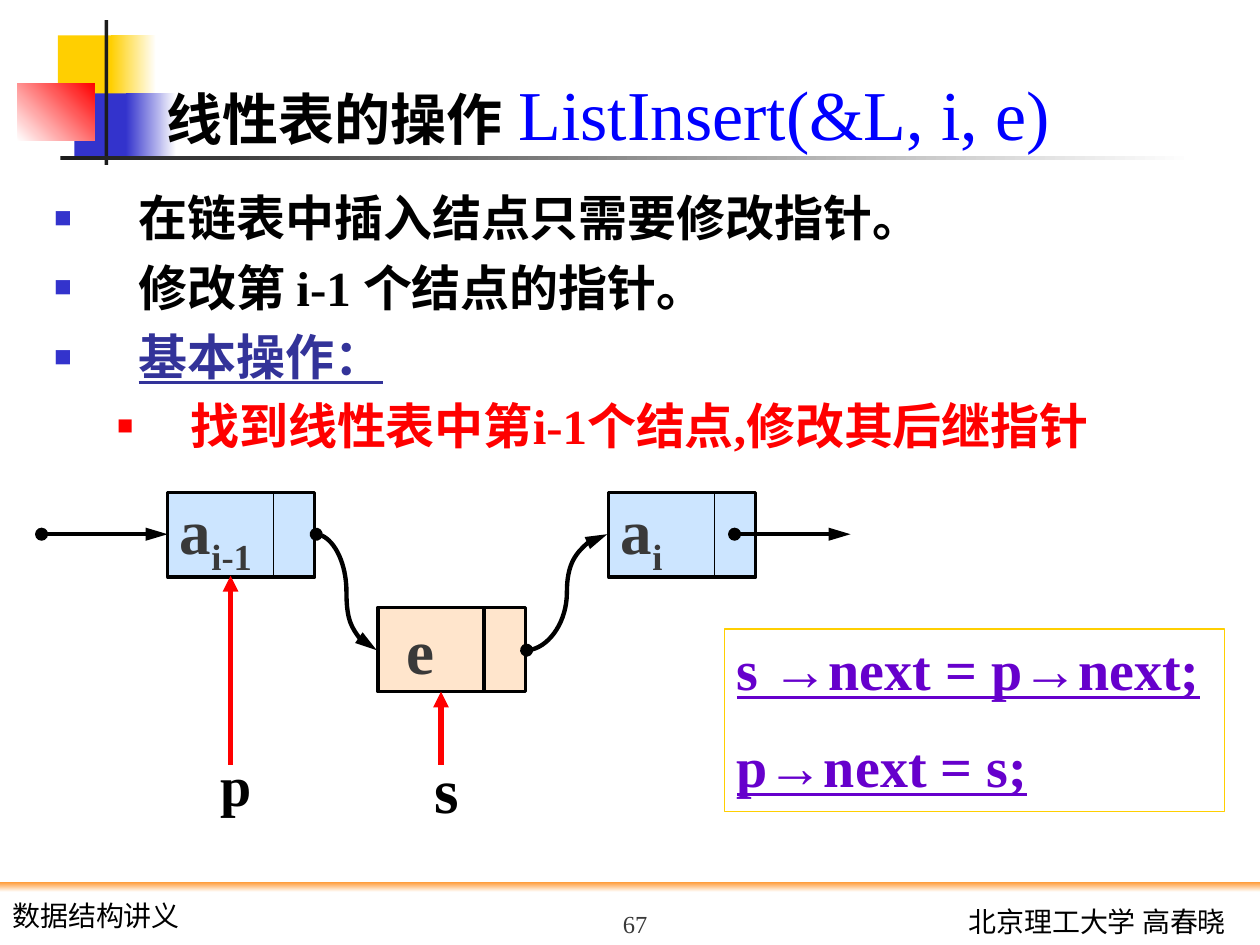
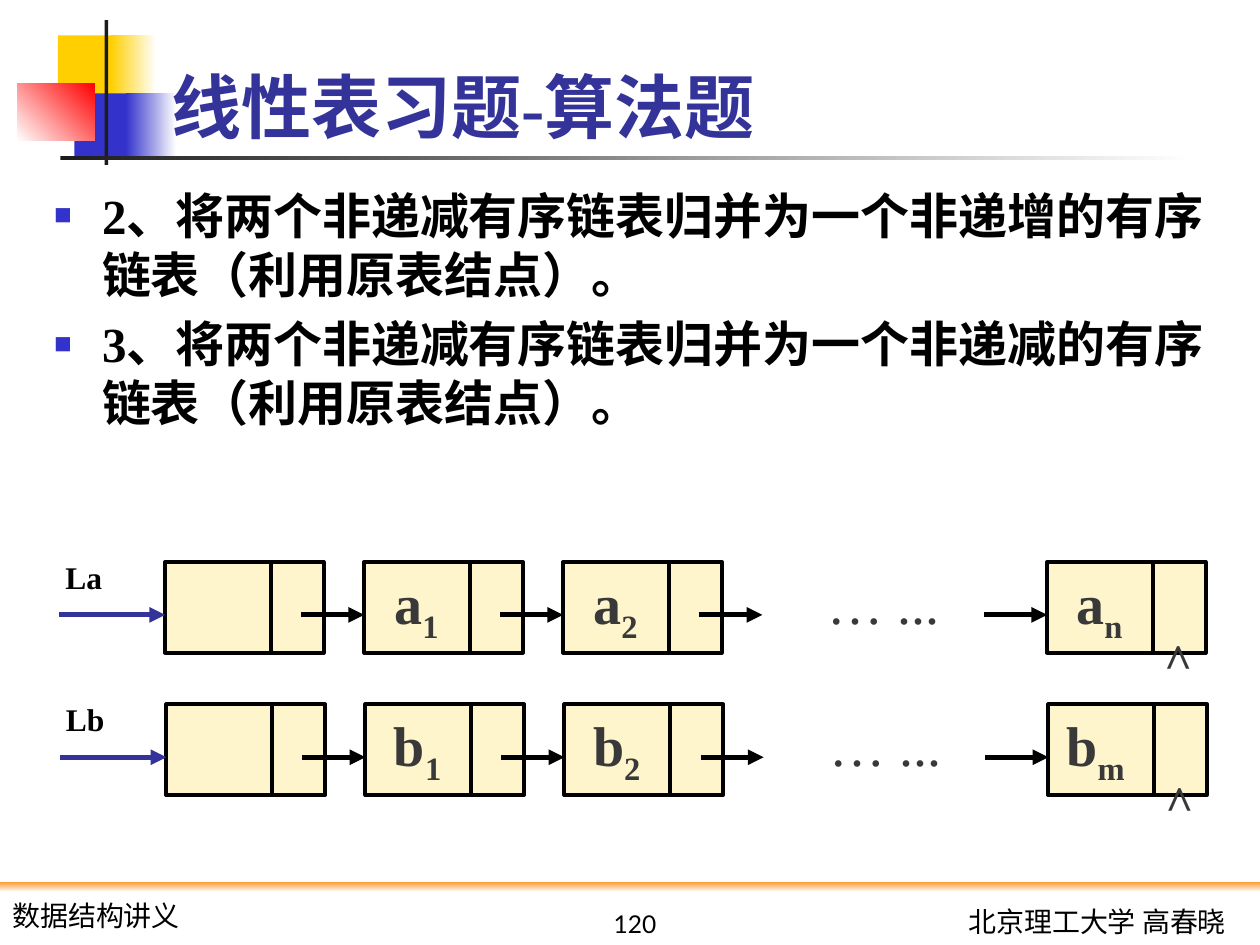
from lxml import etree
from pptx import Presentation, util as u
from pptx.dml.color import RGBColor
from pptx.enum import shapes, text
from pptx.oxml import ns

COLORS = {
    "black": "000000", "white": "FFFFFF", "ink": "1C1C1C", "grey": "393939",
    "yellow": "FFCF01", "blue": "3333CC", "navy": "333399", "red": "FF0000",
    "orange": "FF9933", "bright_blue": "0000FF", "purple": "6600CC",
    "node_blue": "CCE5FF", "node_peach": "FFE5CC", "node_cream": "FFF5CC",
}
SERIF, SANS, CHINESE = "Times New Roman", "Lato", "Noto Sans CJK SC"

# Shared decoration: position, start colour, end colour, gradient angle
DECORATION = [
    ((0.46, 0.28, 0.48, 0.52), "yellow", None, 0),
    ((0.88, 0.28, 0.36, 0.52), "yellow", "white", 0),
    ((0.59, 0.74, 0.46, 0.52), "blue", None, 0),
    ((1, 0.74, 0.4, 0.52), "blue", "white", 0),
    ((0.14, 0.66, 0.61, 0.46), "white", "red", 45),
    ((0.83, 0.16, 0.03, 1.15), "ink", None, 0),
    ((0.48, 1.24, 9, 0.03), "ink", "white", 0),
    ((0, 7, 10, 0.08), "orange", "white", 270),
]
FOOTERS = [
    ((7.33, 7.13, 2.5, 0.37), "北京理工大学 高春晓", "RIGHT"),
    ((0, 7.08, 1.75, 0.37), "数据结构讲义", "LEFT"),
]
PAGE_NUMBER_BOX = (4, 7, 2.08, 0.5)

# Text formats
FOOTER = dict(size=16, name=SANS, color="black")
BODY = dict(size=28, name=SERIF, color="black", bold=True)
NODE = dict(size=36, name=SERIF, color="grey", bold=True)
CELL = NODE | dict(size=32)
POINTER = NODE | dict(color="black")
CODE = dict(size=32, name=SERIF, color="purple", bold=True, underline=True)
ELLIPSIS = dict(size=32, name=SERIF, color="grey")
CARET = NODE | dict(size=48, baseline=-25)
LIST_NAME = BODY | dict(size=18)
TITLE = dict(size=40, name=SERIF, color="navy", bold=True)
TITLE_CHINESE = dict(size=32, name=CHINESE, color="black", bold=True)

# Bullets: left margin, hanging indent, size in percent, colour
BULLET_WIDE = (0.67, 0.67, 60, "blue")
BULLET_SUB = (1.08, 0.58, 55, "red")
BULLET_NARROW = (0.38, 0.38, 60, "blue")

INSERT_PAGE = {
    "number": ("67", dict(size=14, name=SERIF, color="grey")),
    "title_at": (1.08, 0.04, 8.63, 1.25),
    "title": [
        (" ", TITLE | dict(size=44)),
        ("线性表的操作", TITLE_CHINESE),
        (" ", TITLE_CHINESE | dict(size=40)),
        ("ListInsert(&L, i, e)", dict(size=40, name=SERIF, color="bright_blue", bold=False)),
    ],
    "body_at": (0.33, 1.44, 9, 5),
    "body": [
        ("在链表中插入结点只需要修改指针。", BODY, BULLET_WIDE),
        ("修改第 i-1 个结点的指针。", BODY, BULLET_WIDE),
        ("基本操作：", BODY | dict(color="navy", underline=True), BULLET_WIDE),
        ("找到线性表中第i-1个结点,修改其后继指针", BODY | dict(color="red"), BULLET_SUB),
    ],
}
EXERCISE_PAGE = {
    "number": ("120", dict(size=14, name=SANS, color="black")),
    "title_at": (1.26, 0.13, 8.52, 1.09),
    "title": [("线性表习题-算法题", TITLE)],
    "body_at": (0.33, 1.42, 9.46, 5.5),
    "body": [
        ("2、将两个非递减有序链表归并为一个非递增的有序链表（利用原表结点）。", BODY, BULLET_NARROW),
        ("3、将两个非递减有序链表归并为一个非递减的有序链表（利用原表结点）。", BODY, BULLET_NARROW),
    ],
}

# Insertion diagram: left, top, letter, subscript, fill, outline, divider width
INSERT_NODES = [
    (1.33, 3.91, "a", "i-1", "node_blue", 1.75, 0.75),
    (3, 4.82, " e", "", "node_peach", 2, 2),
    (4.83, 3.91, "a", "i", "node_blue", 1.75, 0.75),
]
NODE_SIZE = (1.17, 0.67)
NEXT_LINKS = [
    ("STRAIGHT", (0.33, 4.24), (1.33, 4.24)),
    ("STRAIGHT", (5.83, 4.24), (6.75, 4.24)),
    ("CURVE", (2.51, 4.24), (2.99, 5.16)),
    ("CURVE", (4.18, 5.16), (4.82, 4.24)),
]
# Pointers: name, arrow x, arrow tip y, label left, label size
POINTERS = [("p", 1.83, 4.57, 1.5, 32), ("s", 3.5, 5.49, 3.17, 36)]
CODE_BOX = (5.75, 4.99, 3.97, 1.45)
CODE_LINES = ["s →next = p→next;", "p→next = s;"]

# Linked lists: name, left of head node, top, letter, last subscript,
# offset and width of the last label
LISTS = [
    ("La", 1.31, 4.46, "a", "n", 0.08, 0.67),
    ("Lb", 1.32, 5.59, "b", "m", 0, 0.75),
]
CELL_SIZE = (1.26, 0.72)
CELL_STEP, LAST_CELL, LINK = 1.58, 7, 0.5


def rgb(name):
    return RGBColor.from_string(COLORS[name])


def inches(values):
    return [u.Inches(value) for value in values]


def add_run(paragraph, content, style):
    run = paragraph.add_run()
    run.text = content
    for key, value in style.items():
        if key == "color":
            run.font.color.rgb = rgb(value)
        elif key == "size":
            run.font.size = u.Pt(value)
        elif key != "baseline":
            setattr(run.font, key, value)
    properties = run.font._element
    if "baseline" in style:
        properties.set("baseline", str(style["baseline"] * 1000))
    etree.SubElement(properties, ns.qn("a:ea"), typeface=CHINESE)


def set_frame(shape, anchor="TOP", wrap=True):
    frame = shape.text_frame
    frame.word_wrap = wrap
    frame.auto_size = text.MSO_AUTO_SIZE.NONE
    frame.vertical_anchor = text.MSO_ANCHOR[anchor]
    return frame


def add_label(slide, at, runs, align="CENTER", anchor="TOP", wrap=True):
    box = slide.shapes.add_textbox(*inches(at))
    paragraph = set_frame(box, anchor, wrap).paragraphs[0]
    paragraph.alignment = text.PP_ALIGN[align]
    for content, style in runs:
        add_run(paragraph, content, style)
    return box


def subscripted(letter, subscript, style):
    runs = [(letter, style)]
    if subscript:
        runs.append((subscript, style | dict(baseline=-25)))
    return runs


def add_box(slide, at, fill, line=None, width=1):
    box = slide.shapes.add_shape(shapes.MSO_SHAPE.RECTANGLE, *inches(at))
    box.shadow.inherit = False
    box.fill.solid()
    box.fill.fore_color.rgb = rgb(fill)
    if line:
        box.line.color.rgb = rgb(line)
        box.line.width = u.Pt(width)
    else:
        box.line.fill.background()
    return box


def add_line(slide, start, end, color="black", width=2.25, kind="STRAIGHT",
             dot=False, arrow=None):
    """Draw a line; arrow is the length of its head, None for no head."""
    line = slide.shapes.add_connector(shapes.MSO_CONNECTOR[kind], *inches(start + end))
    line.line.color.rgb = rgb(color)
    line.line.width = u.Pt(width)
    outline = line.line._get_or_add_ln()
    if dot:
        etree.SubElement(outline, ns.qn("a:headEnd"), type="oval", w="med", len="med")
    if arrow:
        etree.SubElement(outline, ns.qn("a:tailEnd"), type="triangle", w="med", len=arrow)
    etree.SubElement(line.element.spPr, ns.qn("a:effectLst"))


def set_bullet(paragraph, margin, hanging, percent, color):
    properties = paragraph._p.get_or_add_pPr()
    properties.set("marL", str(u.Inches(margin)))
    properties.set("indent", str(-u.Inches(hanging)))
    bullet_color = etree.SubElement(properties, ns.qn("a:buClr"))
    etree.SubElement(bullet_color, ns.qn("a:srgbClr"), val=COLORS[color])
    etree.SubElement(properties, ns.qn("a:buSzPct"), val=str(percent * 1000))
    etree.SubElement(properties, ns.qn("a:buChar"), char="■")


def decorate_layout(slide, layout):
    """Draw the shared decoration once and hand it to the layout."""
    parts = []
    for at, start, end, angle in DECORATION:
        part = add_box(slide, at, start)
        if end:
            part.fill.gradient()
            part.fill.gradient_angle = angle
            for stop, color in zip(part.fill.gradient_stops, (start, end)):
                stop.color.rgb = rgb(color)
        parts.append(part)
    for at, content, align in FOOTERS:
        parts.append(add_label(slide, at, [(content, FOOTER)], align))
    for number, part in enumerate(parts, 20):
        part.element.nvSpPr.cNvPr.set("id", str(number))
        layout.shapes.element.append(part.element)


def place(placeholder, at):
    for side, value in zip(("left", "top", "width", "height"), inches(at)):
        setattr(placeholder, side, value)


def fill_page(slide, page):
    title, body = slide.shapes.title, slide.placeholders[1]
    place(title, page["title_at"])
    paragraph = set_frame(title, "BOTTOM").paragraphs[0]
    paragraph.alignment = text.PP_ALIGN.LEFT
    for content, style in page["title"]:
        add_run(paragraph, content, style)
    place(body, page["body_at"])
    frame = set_frame(body)
    for index, (content, style, bullet) in enumerate(page["body"]):
        paragraph = frame.add_paragraph() if index else frame.paragraphs[0]
        paragraph.level = int(bullet is BULLET_SUB)
        paragraph.space_before = u.Pt(6)
        set_bullet(paragraph, *bullet)
        add_run(paragraph, content, style)
    add_label(slide, PAGE_NUMBER_BOX, [page["number"]], anchor="BOTTOM")


def draw_insertion(slide):
    width, height = NODE_SIZE
    for left, top, letter, subscript, fill, outline, divider in INSERT_NODES:
        node = add_box(slide, (left, top, width, height), fill, "black", outline)
        paragraph = set_frame(node, "MIDDLE", wrap=False).paragraphs[0]
        paragraph.alignment = text.PP_ALIGN.LEFT
        for content, style in subscripted(letter, subscript, NODE):
            add_run(paragraph, content, style)
        x = left + 0.84
        add_line(slide, (x, top), (x, top + height), width=divider)
    for kind, start, end in NEXT_LINKS:
        add_line(slide, start, end, width=2.5, kind=kind, dot=True, arrow="lg")
    for name, x, tip, left, size in POINTERS:
        add_line(slide, (x, 6.07), (x, tip), "red", 3, arrow="med")
        add_label(slide, (left, 5.91, 0.75, 0.7), [(name, POINTER | dict(size=size))])
    # Code of the two pointer changes
    frame = set_frame(add_box(slide, CODE_BOX, "white", "yellow"))
    for index, content in enumerate(CODE_LINES):
        paragraph = frame.add_paragraph() if index else frame.paragraphs[0]
        paragraph.alignment = text.PP_ALIGN.LEFT
        paragraph.space_before = u.Pt(17)
        add_run(paragraph, content, CODE)


def draw_list(slide, name, head, top, letter, last, last_offset, last_width):
    width, height = CELL_SIZE
    middle = top + 0.42
    last_left = head + LAST_CELL
    cells = [(head + CELL_STEP * index, str(index or ""), 0.08, 0.67) for index in range(3)]
    cells.append((last_left, last, last_offset, last_width))
    for left, subscript, offset, label_width in cells:
        add_box(slide, (left, top, width, height), "node_cream", "black", 2.25)
        add_line(slide, (left + 0.84, top), (left + 0.84, top + height))
        if subscript:
            add_label(slide, (left + offset, top, label_width, 0.63),
                      subscripted(letter, subscript, CELL))
    # Links between nodes, and the entry arrow with the list name
    link_starts = [left + 1.08 for left, *_ in cells[:-1]] + [last_left - LINK]
    for x in link_starts:
        add_line(slide, (x, middle), (x + LINK, middle), width=3, arrow="med")
    add_line(slide, (head - 0.84, middle), (head, middle), "navy", 3, arrow="med")
    add_label(slide, (head - 0.98, top - 0.08, 0.67, 0.4), [(name, LIST_NAME)])
    add_label(slide, (head + 5.16, top, 1.09, 0.63), [("… ...", ELLIPSIS)], wrap=False)
    add_label(slide, (last_left + 0.83, top + 0.04, 0.42, 0.63), [("^", CARET)])


def main():
    presentation = Presentation()
    presentation.slide_width, presentation.slide_height = inches((10, 7.5))
    layout = presentation.slide_layouts[1]
    insertion, exercise = [presentation.slides.add_slide(layout) for _ in range(2)]
    decorate_layout(insertion, layout)

    fill_page(insertion, INSERT_PAGE)
    draw_insertion(insertion)

    fill_page(exercise, EXERCISE_PAGE)
    for linked_list in LISTS:
        draw_list(exercise, *linked_list)

    presentation.save("out.pptx")


if __name__ == "__main__":
    main()
